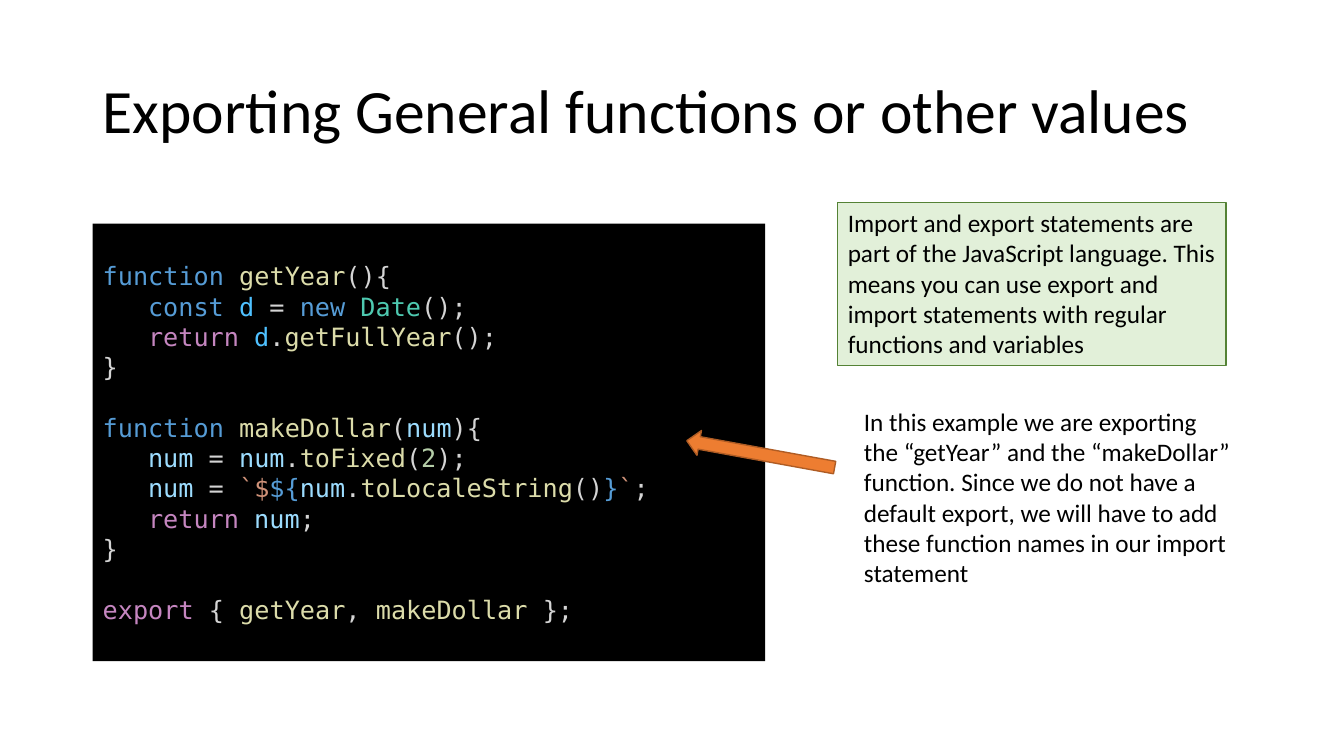
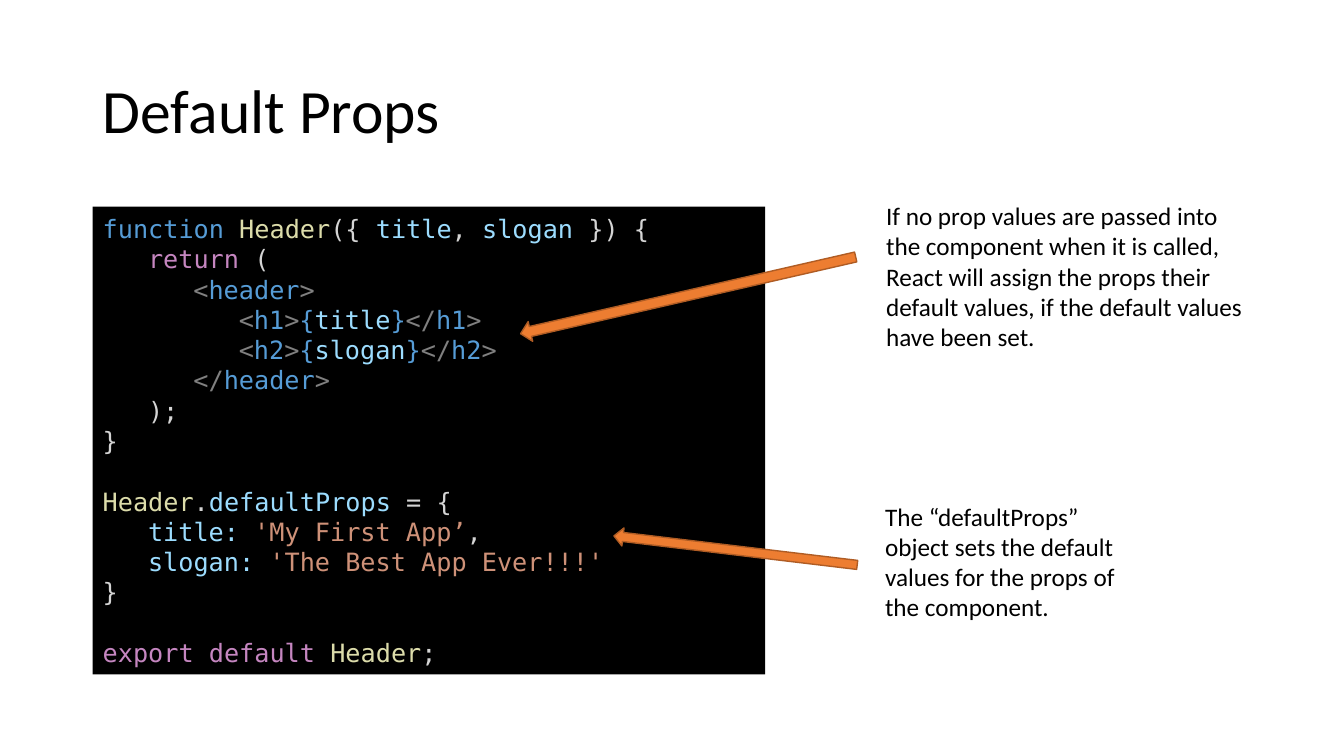
"""Build two slides that explain JavaScript exports and default props."""
from dataclasses import dataclass
from functools import partial
from typing import NamedTuple

from pptx import Presentation
from pptx.dml.color import RGBColor
from pptx.enum.shapes import MSO_SHAPE
from pptx.enum.text import MSO_ANCHOR, MSO_AUTO_SIZE, PP_ALIGN
from pptx.util import Inches, Pt

RECTANGLE = MSO_SHAPE.RECTANGLE
RIGHT_ARROW = MSO_SHAPE.RIGHT_ARROW
LEFT = PP_ALIGN.LEFT
TOP = MSO_ANCHOR.TOP
MIDDLE = MSO_ANCHOR.MIDDLE
NO_AUTOFIT = MSO_AUTO_SIZE.NONE
TITLE_ONLY = 5


@dataclass(frozen=True)
class Theme:
    """Colours, fonts, type sizes and code spacing of the deck."""

    text: str = "000000"
    code_back: str = "000000"
    callout_fill: str = "E2F0D9"
    callout_line: str = "548235"
    arrow_fill: str = "ED7D31"
    arrow_line: str = "AF5C24"
    keyword: str = "569CD6"
    control: str = "C586C0"
    function: str = "DCDCAA"
    variable: str = "9CDCFE"
    constant: str = "4FC1FF"
    type_name: str = "4EC9B0"
    string: str = "CE9178"
    number: str = "B5CEA8"
    bracket: str = "808080"
    plain: str = "D4D4D4"
    body_font: str = "Calibri"
    code_font: str = "DejaVu Sans Mono"
    title_size: float = 44
    body_size: float = 18
    code_step: float = 0.45
    code_gap: float = 21.8


THEME = Theme()


class Place(NamedTuple):
    """Left, top, width and height in inches."""

    left: float
    top: float
    width: float
    height: float

    def lengths(self) -> tuple:
        """Return the four values as slide lengths."""
        return tuple(Inches(value) for value in self)


class Span(NamedTuple):
    """A piece of code in one colour."""

    colour: str
    text: str


@dataclass(frozen=True)
class CodeLine:
    """A line of code, its depth, and whether a gap comes before it."""

    depth: int
    spans: tuple[Span, ...]
    gap: bool = False


@dataclass(frozen=True)
class Note:
    """An explanation beside the code, framed or bare."""

    place: Place
    text: str
    framed: bool = False


@dataclass(frozen=True)
class Pointer:
    """A block arrow turned clockwise by some degrees."""

    place: Place
    turn: float


@dataclass(frozen=True)
class Lesson:
    """The content of one slide."""

    title: str
    code_place: Place
    code: tuple[CodeLine, ...]
    notes: tuple[Note, ...]
    pointers: tuple[Pointer, ...]


TITLE_PLACE = Place(0.92, 0.4, 11.5, 1.45)

keyword = partial(Span, THEME.keyword)
control = partial(Span, THEME.control)
function = partial(Span, THEME.function)
variable = partial(Span, THEME.variable)
constant = partial(Span, THEME.constant)
type_name = partial(Span, THEME.type_name)
string = partial(Span, THEME.string)
number = partial(Span, THEME.number)
bracket = partial(Span, THEME.bracket)
plain = partial(Span, THEME.plain)


def line(depth: int, *spans: Span, gap: bool = False) -> CodeLine:
    """Return a code line made of the given spans."""
    return CodeLine(depth, spans, gap)


def tag(name: str, opening: str = "<") -> tuple[Span, ...]:
    """Return the spans of a markup tag."""
    return bracket(opening), keyword(name), bracket(">")


def heading(name: str, prop: str) -> CodeLine:
    """Return a markup heading that shows a prop."""
    value = (keyword("{"), variable(prop), keyword("}"))
    return line(3, *tag(name), *value, *tag(name, "</"))


CLOSE = line(0, plain("}"))

LESSONS = (
    Lesson(
        "Exporting General functions or other values",
        Place(0.92, 2.22, 6.67, 4.34),
        (
            line(0, keyword("function "), function("getYear"), plain("(){")),
            line(1, keyword("const "), constant("d"), plain(" = "), keyword("new "),
                 type_name("Date"), plain("();")),
            line(1, control("return "), constant("d"), plain("."),
                 function("getFullYear"), plain("();")),
            CLOSE,
            line(0, keyword("function "), function("makeDollar"), plain("("),
                 variable("num"), plain("){"), gap=True),
            line(1, variable("num"), plain(" = "), variable("num"), plain("."),
                 function("toFixed"), plain("("), number("2"), plain(");")),
            line(1, variable("num"), plain(" = "), string("`$"), keyword("${"),
                 variable("num"), plain("."), function("toLocaleString"), plain("()"),
                 keyword("}"), string("`"), plain(";")),
            line(1, control("return "), variable("num"), plain(";")),
            CLOSE,
            line(0, control("export"), plain(" { "), function("getYear"), plain(", "),
                 function("makeDollar"), plain(" };"), gap=True),
        ),
        (
            Note(Place(8.31, 2.01, 3.85, 1.62),
                 "Import and export statements are part of the JavaScript language. "
                 "This means you can use export and import statements with regular "
                 "functions and variables", framed=True),
            Note(Place(8.47, 3.98, 3.85, 1.92),
                 "In this example we are exporting the “getYear” and the “makeDollar” "
                 "function. Since we do not have a default export, we will have to add "
                 "these function names in our import statement"),
        ),
        (Pointer(Place(6.8, 4.38, 1.49, 0.25), 190.3),),
    ),
    Lesson(
        "Default Props",
        Place(0.92, 2.05, 6.67, 4.64),
        (
            line(0, keyword("function "), function("Header"), plain("({ "),
                 variable("title"), plain(", "), variable("slogan"), plain(" }) {")),
            line(1, control("return"), plain(" (")),
            line(2, *tag("header")),
            heading("h1", "title"),
            heading("h2", "slogan"),
            line(2, *tag("header", "</")),
            line(1, plain(");")),
            CLOSE,
            line(0, function("Header"), plain("."), variable("defaultProps"),
                 plain(" = {"), gap=True),
            line(1, variable("title: "), string("'My First App’"), plain(",")),
            line(1, variable("slogan: "), string("'The Best App Ever!!!'")),
            CLOSE,
            line(0, control("export default "), function("Header"), plain(";"), gap=True),
        ),
        (
            Note(Place(8.68, 4.92, 2.67, 1.31),
                 "The “defaultProps” object sets the default values for the props of "
                 "the component."),
            Note(Place(8.69, 1.94, 3.85, 1.62),
                 "If no prop values are passed into the component when it is called, "
                 "React will assign the props their default values, if the default "
                 "values have been set."),
        ),
        (
            Pointer(Place(6.08, 5.37, 2.43, 0.18), 186.8),
            Pointer(Place(5.12, 2.83, 3.41, 0.2), 167.1),
        ),
    ),
)


def rgb(colour: str) -> RGBColor:
    """Return the colour object for a hex value."""
    return RGBColor.from_string(colour)


def set_frame(frame, anchor) -> None:
    """Wrap the text and anchor it without autofit."""
    frame.word_wrap = True
    frame.auto_size = NO_AUTOFIT
    frame.vertical_anchor = anchor


def set_para(para, font: str, size: float, colour: str) -> None:
    """Align a paragraph left and set its font."""
    para.alignment = LEFT
    para.font.name = font
    para.font.size = Pt(size)
    para.font.color.rgb = rgb(colour)


def add_box(page, kind, place: Place, fill: str, outline: str = "", weight: float = 0):
    """Add a flat filled shape with an optional outline."""
    box = page.shapes.add_shape(kind, *place.lengths())
    box.shadow.inherit = False
    box.fill.solid()
    box.fill.fore_color.rgb = rgb(fill)
    if outline:
        box.line.color.rgb = rgb(outline)
        box.line.width = Pt(weight)
    else:
        box.line.fill.background()
    return box


def set_title(page, text: str) -> None:
    """Place and format the title."""
    title = page.shapes.title
    title.left, title.top, title.width, title.height = TITLE_PLACE.lengths()
    set_frame(title.text_frame, MIDDLE)
    title.text_frame.text = text
    para = title.text_frame.paragraphs[0]
    set_para(para, THEME.body_font, THEME.title_size, THEME.text)
    para.line_spacing = 0.9


def add_code(page, place: Place, lines: tuple[CodeLine, ...]) -> None:
    """Add a dark panel with coloured code."""
    frame = add_box(page, RECTANGLE, place, THEME.code_back).text_frame
    set_frame(frame, MIDDLE)
    for index, code_line in enumerate(lines):
        para = frame.add_paragraph() if index else frame.paragraphs[0]
        set_para(para, THEME.code_font, THEME.body_size, THEME.plain)
        para.space_before = Pt(THEME.code_gap if code_line.gap else 0)
        properties = para._p.get_or_add_pPr()
        properties.set("marL", str(Inches(code_line.depth * THEME.code_step)))
        properties.set("indent", "0")
        for span in code_line.spans:
            run = para.add_run()
            run.text = span.text
            run.font.color.rgb = rgb(span.colour)


def add_note(page, note: Note) -> None:
    """Add an explanation."""
    if note.framed:
        box = add_box(page, RECTANGLE, note.place, THEME.callout_fill,
                      THEME.callout_line, 0.75)
    else:
        box = page.shapes.add_textbox(*note.place.lengths())
    set_frame(box.text_frame, TOP)
    box.text_frame.text = note.text
    set_para(box.text_frame.paragraphs[0], THEME.body_font, THEME.body_size, THEME.text)


def add_pointer(page, pointer: Pointer) -> None:
    """Add a turned block arrow."""
    arrow = add_box(page, RIGHT_ARROW, pointer.place, THEME.arrow_fill,
                    THEME.arrow_line, 1)
    arrow.rotation = pointer.turn


def add_lesson(deck, lesson: Lesson) -> None:
    """Add one slide with its code, notes and arrows."""
    page = deck.slides.add_slide(deck.slide_layouts[TITLE_ONLY])
    set_title(page, lesson.title)
    add_code(page, lesson.code_place, lesson.code)
    for note in lesson.notes:
        add_note(page, note)
    for pointer in lesson.pointers:
        add_pointer(page, pointer)


def main() -> None:
    """Build and save the deck."""
    deck = Presentation()
    deck.slide_width, deck.slide_height = Inches(13.33), Inches(7.5)
    for lesson in LESSONS:
        add_lesson(deck, lesson)
    deck.save("out.pptx")


if __name__ == "__main__":
    main()
